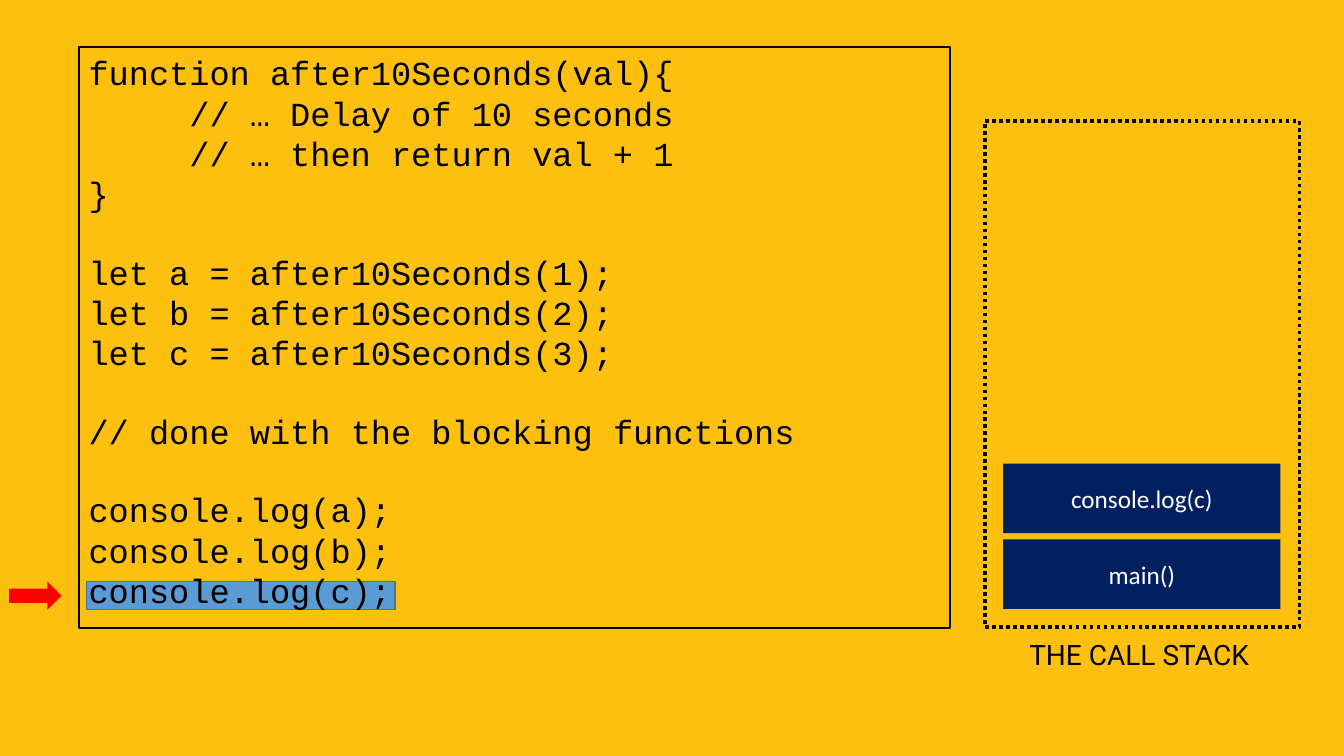
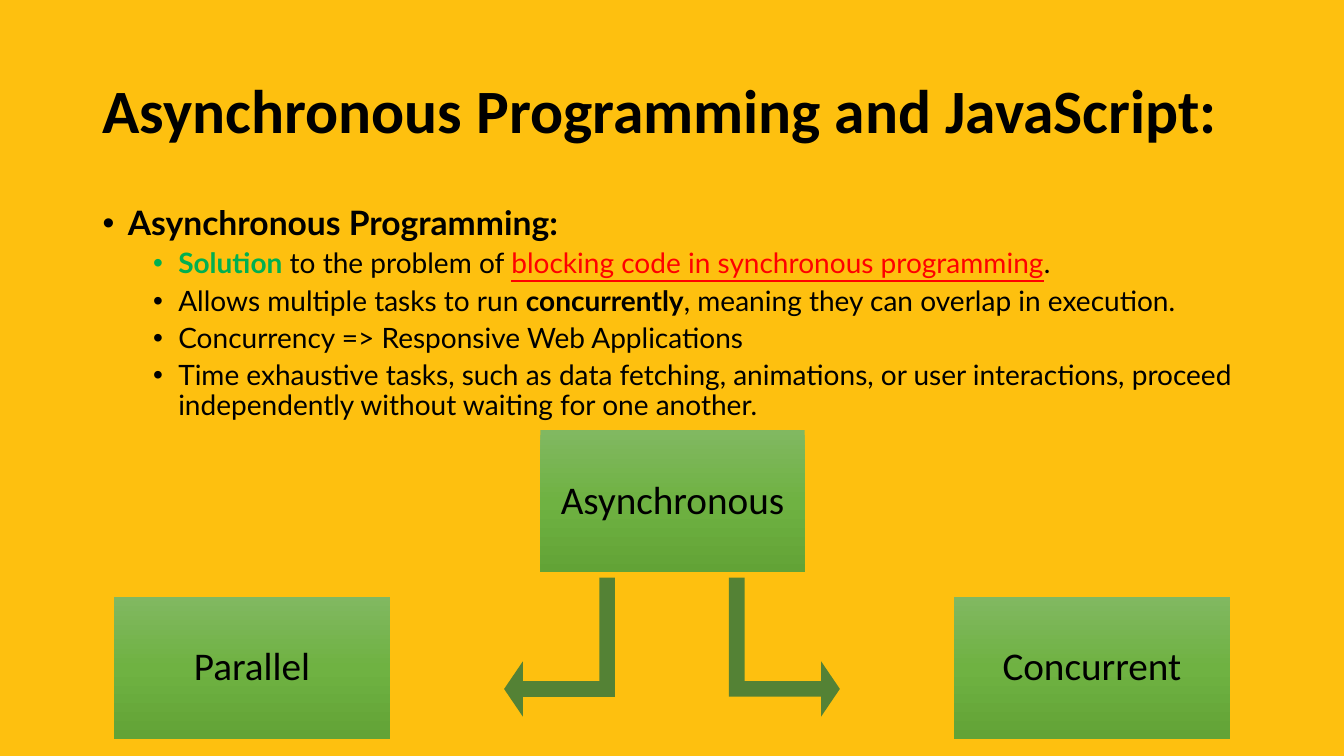
from copy import deepcopy
from dataclasses import dataclass

from pptx import Presentation, util as u
from pptx.dml.color import RGBColor
from pptx.enum import dml, shapes, text
from pptx.oxml import ns, xmlchemy

COLORS = {
    "background": "FEC00F", "ink": "000000", "white": "FFFFFF",
    "red": "FF0000", "green": "00B050", "navy": "002060",
    "highlight": "5B9BD5", "highlight_edge": "43739E", "arrow": "548235",
}
BOX_GRADIENT = [(0, "81B861"), (0.5, "6FB242"), (1, "62A336")]
CODE_LINE = 27.2  # height of one 24 pt code line, in points


@dataclass
class Area:
    left: float
    top: float
    width: float
    height: float

    def lengths(self) -> list:
        return [u.Inches(v) for v in (self.left, self.top, self.width, self.height)]


@dataclass
class Style:
    font: str
    size: float
    color: str = "ink"
    bold: bool = False


@dataclass
class Run:
    words: str
    color: str = "ink"
    bold: bool = False
    underline: bool = False


@dataclass
class CodeLine:
    words: str
    indent: float = 0
    gap: bool = False  # one empty line above


@dataclass
class ConceptBox:
    words: str
    area: Area


CODE = Style("Courier New", 24)
CAPTION = Style("Roboto", 20)
FRAME = Style("Calibri", 18, "white")
TITLE = Style("Calibri", 44, bold=True)
CONCEPT = Style("Calibri", 28)

CODE_LINES = [
    CodeLine("function after10Seconds(val){"),
    CodeLine("// … Delay of 10 seconds", indent=1),
    CodeLine("// … then return val + 1", indent=1),
    CodeLine("}"),
    CodeLine("let a = after10Seconds(1);", gap=True),
    CodeLine("let b = after10Seconds(2);"),
    CodeLine("let c = after10Seconds(3);"),
    CodeLine("// done with the blocking functions", gap=True),
    CodeLine("console.log(a);", gap=True),
    CodeLine("console.log(b);"),
    CodeLine("console.log(c);"),
]
STACK_FRAMES = ["main()", "console.log(c)"]  # bottom first

HEADING = Run("Asynchronous Programming:", bold=True)
POINTS = [
    [Run("Solution", "green", bold=True), Run(" to the problem of "),
     Run("blocking code in synchronous programming", "red", underline=True), Run(".")],
    [Run("Allows multiple tasks to run "), Run("concurrently", bold=True),
     Run(", meaning they can overlap in execution.")],
    [Run("Concurrency => Responsive Web Applications")],
    [Run("Time exhaustive tasks, such as data fetching, animations, or user "
         "interactions, proceed independently without waiting for one another.")],
]
CONCEPT_BOXES = [
    ConceptBox("Asynchronous", Area(5.36, 4.27, 2.62, 1.41)),
    ConceptBox("Concurrent", Area(9.46, 5.92, 2.74, 1.41)),
    ConceptBox("Parallel", Area(1.13, 5.92, 2.74, 1.41)),
]


def rgb(name: str) -> RGBColor:
    return RGBColor.from_string(COLORS[name])


def add_slide(presentation):
    slide = presentation.slides.add_slide(presentation.slide_layouts[6])
    slide.background.fill.solid()
    slide.background.fill.fore_color.rgb = rgb("background")
    return slide


def add_run(paragraph, words: str, style: Style, underline: bool = False) -> None:
    run = paragraph.add_run()
    run.text = words
    run.font.name = style.font
    run.font.size = u.Pt(style.size)
    run.font.bold = style.bold
    run.font.underline = underline
    run.font.color.rgb = rgb(style.color)


def add_shape(slide, kind, area: Area, fill: str = "", line: str = "", width: float = 1):
    shape = slide.shapes.add_shape(kind, *area.lengths())
    shape.shadow.inherit = False
    if fill:
        shape.fill.solid()
        shape.fill.fore_color.rgb = rgb(fill)
    else:
        shape.fill.background()
    if line:
        shape.line.color.rgb = rgb(line)
        shape.line.width = u.Pt(width)
    else:
        shape.line.fill.background()
    return shape


def add_text_box(slide, area: Area):
    frame = slide.shapes.add_textbox(*area.lengths()).text_frame
    frame.word_wrap = True
    return frame


def add_centred_text(shape, words: str, style: Style) -> None:
    shape.text_frame.vertical_anchor = text.MSO_ANCHOR.MIDDLE
    paragraph = shape.text_frame.paragraphs[0]
    paragraph.alignment = text.PP_ALIGN.CENTER
    add_run(paragraph, words, style)


def next_paragraph(frame, index: int):
    return frame.add_paragraph() if index else frame.paragraphs[0]


def set_bullet(paragraph, left: float) -> None:
    properties = paragraph._p.get_or_add_pPr()
    properties.set("marL", str(u.Inches(left)))
    properties.set("indent", str(u.Inches(-0.25)))
    for tag, key, value in (("a:buFont", "typeface", "Arial"), ("a:buChar", "char", "•")):
        bullet = xmlchemy.OxmlElement(tag)
        bullet.set(key, value)
        properties.append(bullet)


def set_gradient(shape) -> None:
    shape.fill.gradient()
    shape.fill.gradient_angle = 270
    stops = shape.element.spPr.find(".//" + ns.qn("a:gsLst"))
    stops.append(deepcopy(stops[0]))
    for stop, (position, color) in zip(shape.fill.gradient_stops, BOX_GRADIENT):
        stop.position = position
        stop.color.rgb = RGBColor.from_string(color)


def add_bent_arrow(slide, left: float, mirrored: bool) -> None:
    arrow = add_shape(slide, shapes.MSO_SHAPE.BENT_UP_ARROW,
                      Area(left, 5.87, 1.38, 1.1), "arrow")
    for index, value in enumerate((0.14, 0.25, 0.17)):
        arrow.adjustments[index] = value
    arrow.rotation = 90
    if mirrored:
        arrow.element.spPr.xfrm.set("flipV", "1")


def build_call_stack(presentation) -> None:
    slide = add_slide(presentation)
    rectangle = shapes.MSO_SHAPE.RECTANGLE

    # Current line marker
    add_shape(slide, rectangle, Area(0.86, 5.77, 3.06, 0.28), "highlight", "highlight_edge")
    add_shape(slide, shapes.MSO_SHAPE.RIGHT_ARROW, Area(0.09, 5.77, 0.52, 0.28), "red")

    # Code listing
    listing = add_shape(slide, rectangle, Area(0.78, 0.47, 8.64, 5.76), line="ink", width=1.5)
    listing.text_frame.vertical_anchor = text.MSO_ANCHOR.TOP
    listing.text_frame.word_wrap = True
    for index, line in enumerate(CODE_LINES):
        paragraph = next_paragraph(listing.text_frame, index)
        paragraph.alignment = text.PP_ALIGN.LEFT
        if line.indent:
            paragraph._p.get_or_add_pPr().set("marL", str(u.Inches(line.indent)))
        if line.gap:
            paragraph.space_before = u.Pt(CODE_LINE)
        add_run(paragraph, line.words, CODE)

    # Call stack
    stack = add_shape(slide, rectangle, Area(9.77, 1.2, 3.12, 5.02), line="ink", width=2.5)
    stack.line.dash_style = dml.MSO_LINE.ROUND_DOT
    caption = add_text_box(slide, Area(10.11, 6.28, 2.69, 0.44))
    add_run(caption.paragraphs[0], "THE CALL STACK", CAPTION)
    for index, words in enumerate(STACK_FRAMES):
        area = Area(9.95, 5.35 - 0.75 * index, 2.75, 0.69)
        add_centred_text(add_shape(slide, rectangle, area, "navy"), words, FRAME)


def build_asynchronous(presentation) -> None:
    slide = add_slide(presentation)

    # Title
    title = add_text_box(slide, Area(0.92, 0.4, 11.5, 1.45))
    title.vertical_anchor = text.MSO_ANCHOR.MIDDLE
    title.paragraphs[0].line_spacing = 0.9
    add_run(title.paragraphs[0], "Asynchronous Programming and JavaScript:", TITLE)

    # Bulleted text
    body = add_text_box(slide, Area(0.92, 2, 11.5, 4.76))
    for index, runs in enumerate([[HEADING], *POINTS]):
        paragraph = next_paragraph(body, index)
        paragraph.level = 1 if index else 0
        paragraph.line_spacing = 0.9
        paragraph.space_before = u.Pt(5 if index else 10)
        set_bullet(paragraph, 0.75 if index else 0.25)
        for run in runs:
            style = Style("Lato", 20 if index else 24, run.color, run.bold)
            add_run(paragraph, run.words, style, run.underline)

    # Concept diagram
    for box in CONCEPT_BOXES:
        shape = add_shape(slide, shapes.MSO_SHAPE.RECTANGLE, box.area)
        set_gradient(shape)
        frame = shape.text_frame
        frame.margin_left = frame.margin_right = u.Inches(0.04)
        frame.margin_top = frame.margin_bottom = u.Inches(0.04)
        frame.paragraphs[0].line_spacing = 0.9
        add_centred_text(shape, box.words, CONCEPT)
    add_bent_arrow(slide, 4.86, mirrored=True)
    add_bent_arrow(slide, 7.09, mirrored=False)


def main() -> None:
    presentation = Presentation()
    presentation.slide_width = u.Inches(13.33)
    presentation.slide_height = u.Inches(7.5)
    build_call_stack(presentation)
    build_asynchronous(presentation)
    presentation.save("out.pptx")


if __name__ == "__main__":
    main()
